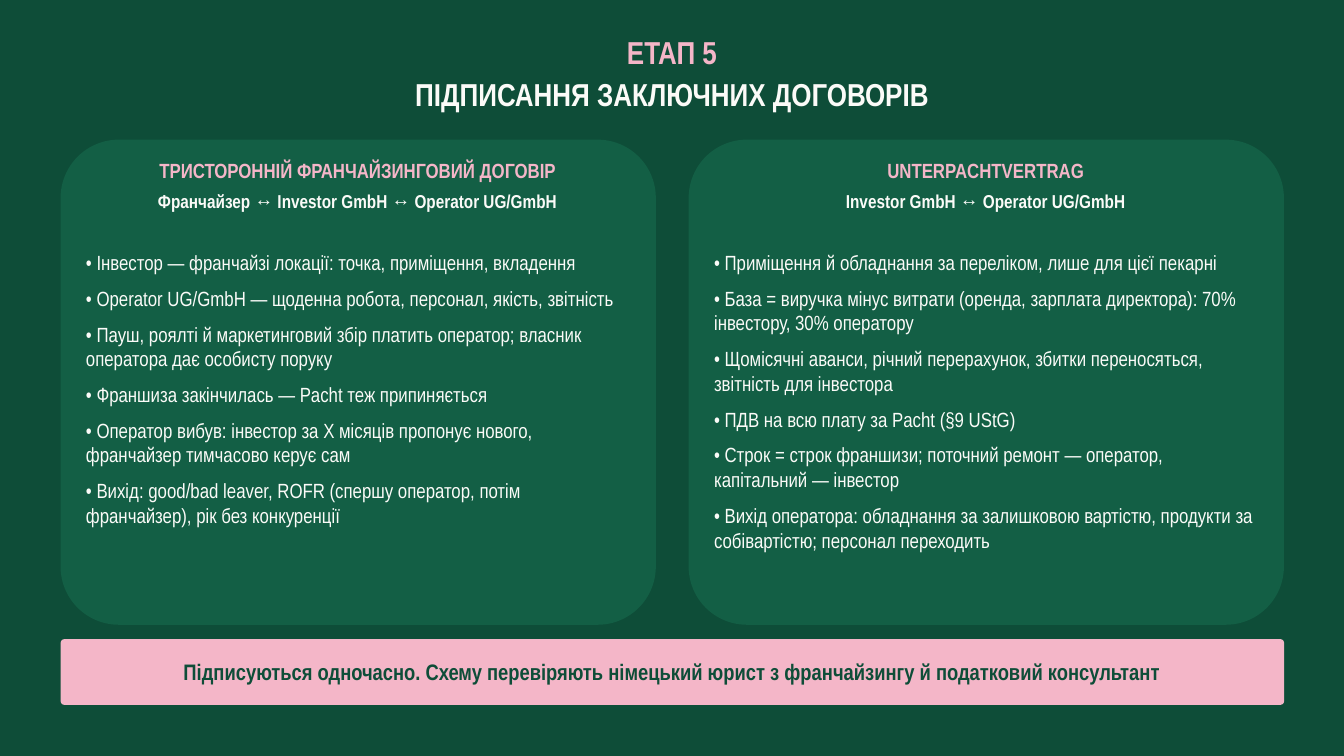
from dataclasses import dataclass

from pptx import Presentation
from pptx.dml.color import RGBColor
from pptx.enum.shapes import MSO_SHAPE
from pptx.enum.text import MSO_ANCHOR, PP_ALIGN
from pptx.slide import Slide
from pptx.util import Cm, Pt


@dataclass(frozen=True)
class Theme:
    font: str = "Arial Narrow"
    background: str = "0E4D38"
    panel: str = "135F45"
    accent: str = "F4B6C8"
    light: str = "FBFBF8"
    title_size: int = 34
    banner_size: int = 24
    body_size: int = 22
    parties_size: int = 20


@dataclass(frozen=True)
class Box:
    left: float
    top: float
    width: float
    height: float

    def shifted(self, distance: float) -> "Box":
        return Box(self.left + distance, self.top, self.width, self.height)

    def lengths(self) -> tuple[Cm, Cm, Cm, Cm]:
        return Cm(self.left), Cm(self.top), Cm(self.width), Cm(self.height)


@dataclass(frozen=True)
class Line:
    text: str
    size: int
    color: str
    bold: bool = True
    space_after: int = 0
    alignment: PP_ALIGN = PP_ALIGN.CENTER


@dataclass(frozen=True)
class Contract:
    name: str
    parties: str
    terms: tuple[str, ...]


THEME = Theme()
SLIDE_WIDTH, SLIDE_HEIGHT = 50.8, 28.58
TITLE = Box(0, 1.24, SLIDE_WIDTH, 3.61)
PANEL = Box(2.29, 5.28, 22.5, 18.34)
HEADING = Box(3.1, 5.97, 20.83, 1.4)
TERMS = Box(3.25, 9.45, 20.55, 13.61)
BANNER = Box(2.29, 24.16, 46.25, 2.49)
BANNER_TEXT = Box(2.77, 24.16, 45.24, 2.49)
COLUMN_STEP = 23.74

CONTRACTS = (
    Contract(
        "ТРИСТОРОННІЙ ФРАНЧАЙЗИНГОВИЙ ДОГОВІР",
        "Франчайзер ↔ Investor GmbH ↔ Operator UG/GmbH",
        (
            "Інвестор — франчайзі локації: точка, приміщення, вкладення",
            "Operator UG/GmbH — щоденна робота, персонал, якість, звітність",
            "Пауш, роялті й маркетинговий збір платить оператор; власник оператора дає особисту поруку",
            "Франшиза закінчилась — Pacht теж припиняється",
            "Оператор вибув: інвестор за X місяців пропонує нового, франчайзер тимчасово керує сам",
            "Вихід: good/bad leaver, ROFR (спершу оператор, потім франчайзер), рік без конкуренції",
        ),
    ),
    Contract(
        "UNTERPACHTVERTRAG",
        "Investor GmbH ↔ Operator UG/GmbH",
        (
            "Приміщення й обладнання за переліком, лише для цієї пекарні",
            "База = виручка мінус витрати (оренда, зарплата директора): 70% інвестору, 30% оператору",
            "Щомісячні аванси, річний перерахунок, збитки переносяться, звітність для інвестора",
            "ПДВ на всю плату за Pacht (§9 UStG)",
            "Строк = строк франшизи; поточний ремонт — оператор, капітальний — інвестор",
            "Вихід оператора: обладнання за залишковою вартістю, продукти за собівартістю; персонал переходить",
        ),
    ),
)


def add_panel(slide: Slide, box: Box, color: str, rounding: float) -> None:
    shape = slide.shapes.add_shape(MSO_SHAPE.ROUNDED_RECTANGLE, *box.lengths())
    shape.adjustments[0] = rounding
    shape.shadow.inherit = False
    shape.fill.solid()
    shape.fill.fore_color.rgb = RGBColor.from_string(color)
    shape.line.fill.background()


def add_text(slide: Slide, box: Box, lines: list[Line],
             anchor: MSO_ANCHOR = MSO_ANCHOR.TOP) -> None:
    frame = slide.shapes.add_textbox(*box.lengths()).text_frame
    frame_format = {
        "word_wrap": True,
        "vertical_anchor": anchor,
        "margin_left": 0,
        "margin_top": 0,
        "margin_right": 0,
        "margin_bottom": 0,
    }
    for attribute, value in frame_format.items():
        setattr(frame, attribute, value)
    for index, line in enumerate(lines):
        paragraph = frame.add_paragraph() if index else frame.paragraphs[0]
        paragraph.alignment = line.alignment
        paragraph.space_after = Pt(line.space_after)
        run = paragraph.add_run()
        run.text = line.text
        font_format = {"name": THEME.font, "size": Pt(line.size), "bold": line.bold}
        for attribute, value in font_format.items():
            setattr(run.font, attribute, value)
        run.font.color.rgb = RGBColor.from_string(line.color)


def add_contract(slide: Slide, contract: Contract, offset: float) -> None:
    add_panel(slide, PANEL.shifted(offset), THEME.panel, 0.12)
    add_text(slide, HEADING.shifted(offset), [
        Line(contract.name, THEME.body_size, THEME.accent, space_after=8),
        Line(contract.parties, THEME.parties_size, THEME.light),
    ])
    add_text(slide, TERMS.shifted(offset), [
        Line(f"• {term}", THEME.body_size, THEME.light, bold=False,
             space_after=12, alignment=PP_ALIGN.LEFT)
        for term in contract.terms
    ])


def main() -> None:
    presentation = Presentation()
    presentation.slide_width = Cm(SLIDE_WIDTH)
    presentation.slide_height = Cm(SLIDE_HEIGHT)
    slide = presentation.slides.add_slide(presentation.slide_layouts[6])
    slide.background.fill.solid()
    slide.background.fill.fore_color.rgb = RGBColor.from_string(THEME.background)

    add_text(slide, TITLE, [
        Line("ЕТАП 5", THEME.title_size, THEME.accent, space_after=4),
        Line("ПІДПИСАННЯ ЗАКЛЮЧНИХ ДОГОВОРІВ", THEME.title_size, THEME.light),
    ])
    for column, contract in enumerate(CONTRACTS):
        add_contract(slide, contract, column * COLUMN_STEP)

    add_panel(slide, BANNER, THEME.accent, 0.06)
    add_text(slide, BANNER_TEXT, [
        Line("Підписуються одночасно. Схему перевіряють німецький юрист "
             "з франчайзингу й податковий консультант",
             THEME.banner_size, THEME.background),
    ], MSO_ANCHOR.MIDDLE)
    presentation.save("out.pptx")


if __name__ == "__main__":
    main()
